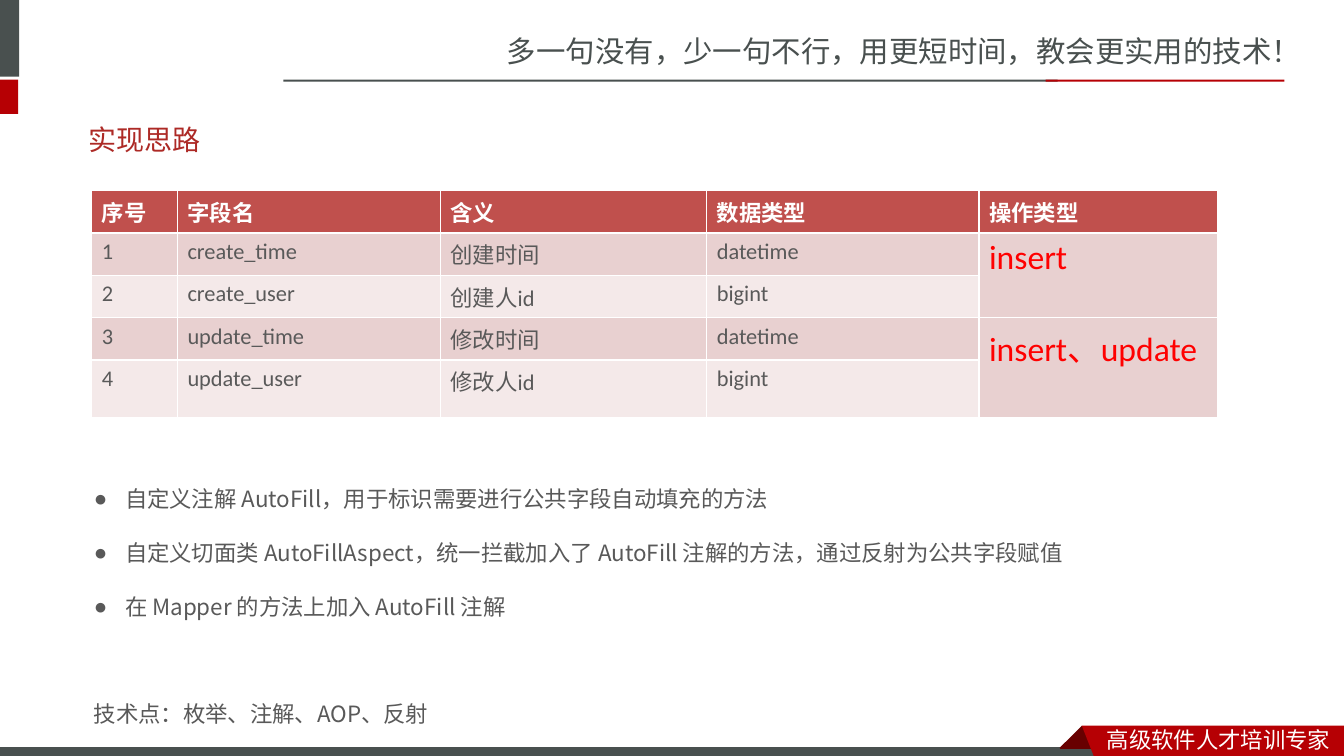
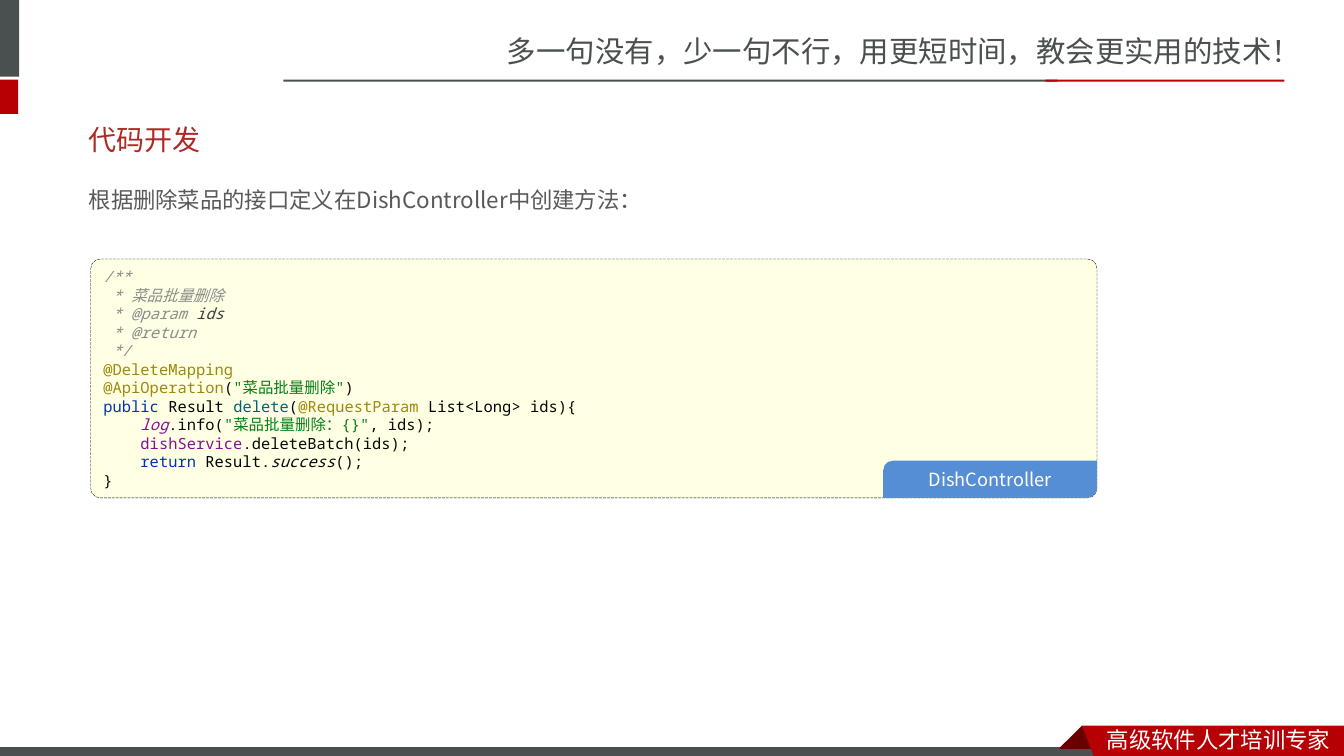
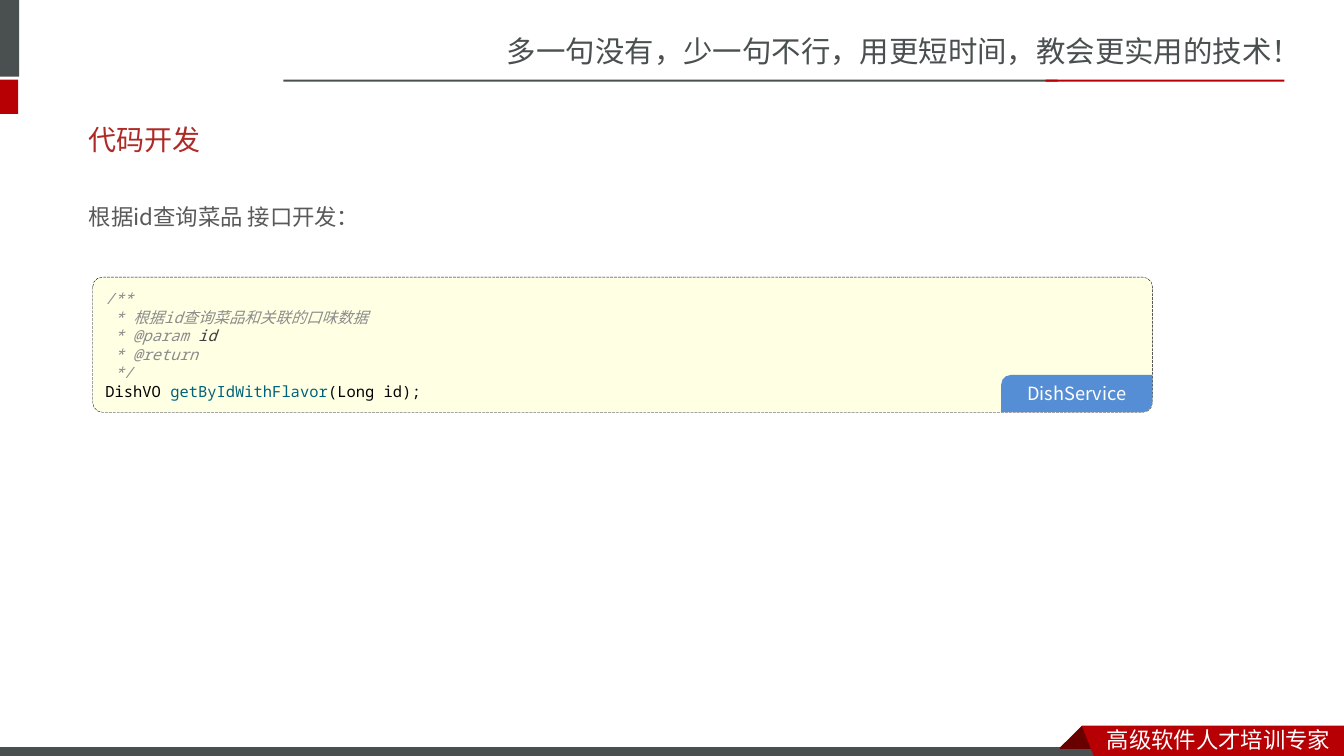
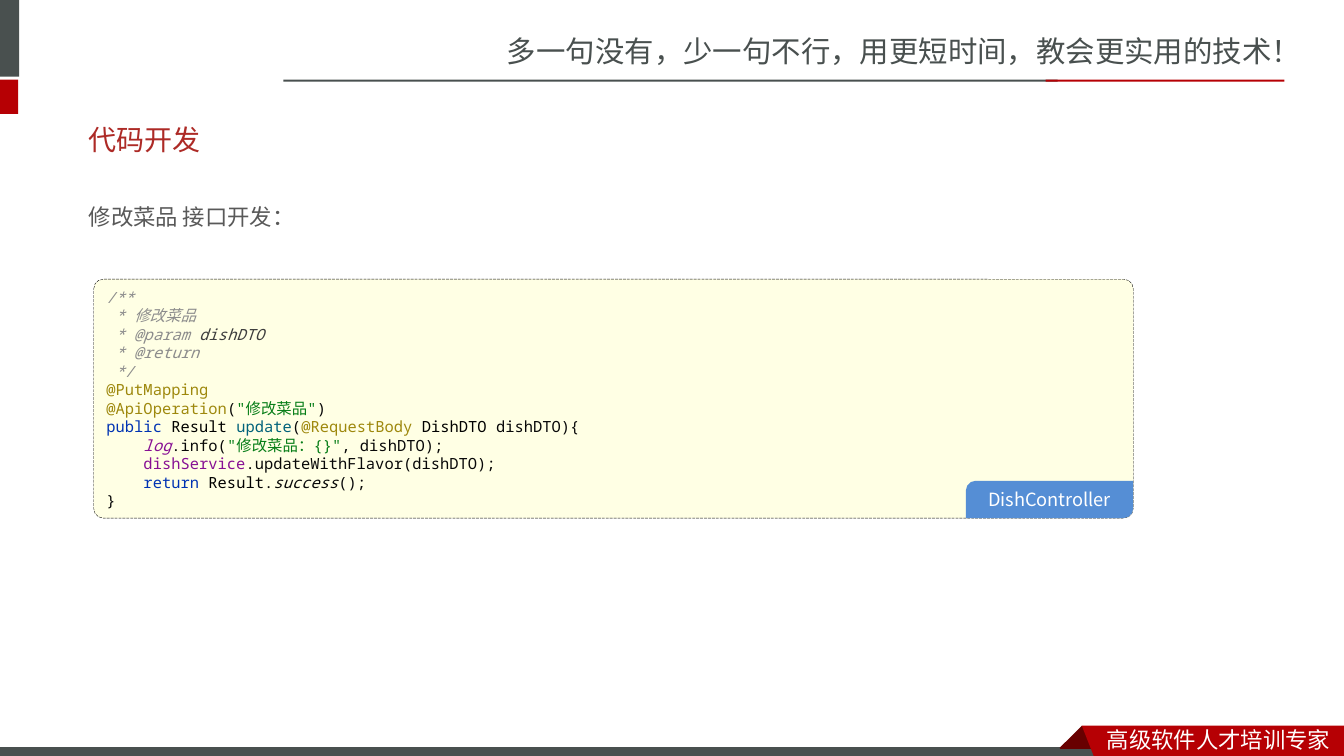
from itertools import groupby

from lxml import etree
from pptx import Presentation, util as u
from pptx.dml.color import RGBColor
from pptx.enum import dml, lang, shapes, text
from pptx.oxml.ns import qn

CJK = "Noto Sans CJK SC"
BODY = "Noto Sans CJK JP"
LATIN = "Calibri"
MONO = "Noto Sans Mono"
GREY, RED, DARK_RED, WHITE = "49504F", "B60004", "680000", "FFFFFF"
TITLE_RED, BODY_GREY, ALERT = "AD2A26", "595959", "FF0000"
HEADER_FILL, ROW_FILLS = "C0504D", ("E8D0D0", "F4E9E9")
CODE_FILL, TAG_FILL = "FFFFE4", "558ED5"

SLOGAN = "多一句没有，少一句不行，用更短时间，教会更实用的技术！"
FOOTER = "高级软件人才培训专家"
BANDS = [  # left, top, width, height, fill, line
    (-0.06, 0, 0.25, 0.76, GREY, None),
    (-0.06, 0.79, 0.24, 0.34, RED, None),
    (2.81, 0.79, 7.68, 0.02, GREY, None),
    (10.37, 0.79, 2.37, 0.02, RED, None),
    (-0.01, 7.41, 11, 0.12, GREY, WHITE),
]
RIBBON = [
    (DARK_RED, [(10.73, 7.2), (10.95, 7.42), (10.94, 7.43), (10.52, 7.43), (10.51, 7.42)]),
    (RED, [(10.73, 7.2), (13.33, 7.2), (13.33, 7.54), (10.86, 7.53)]),
]

FIELDS = [
    ("序号", "字段名", "含义", "数据类型", "操作类型"),
    ("1", "create_time", "创建时间", "datetime", "insert"),
    ("2", "create_user", "创建人id", "bigint", ""),
    ("3", "update_time", "修改时间", "datetime", "insert、update"),
    ("4", "update_user", "修改人id", "bigint", ""),
]
FIELD_WIDTHS = (0.85, 2.61, 2.64, 2.7, 2.37)
STEPS = [
    "自定义注解 AutoFill，用于标识需要进行公共字段自动填充的方法",
    "自定义切面类 AutoFillAspect，统一拦截加入了 AutoFill 注解的方法，通过反射为公共字段赋值",
    "在 Mapper 的方法上加入 AutoFill 注解",
]
TECHNIQUES = "技术点：枚举、注解、AOP、反射"

CODE_STYLES = {  # colour, italic
    "comment": ("8C8C8C", True),
    "param": ("3D3D3D", True),
    "annotation": ("9E880D", False),
    "plain": ("080808", False),
    "string": ("067D17", False),
    "keyword": ("0033B3", False),
    "type": ("000000", False),
    "method": ("00627A", False),
    "static": ("871094", True),
    "field": ("871094", False),
    "call": ("080808", True),
}


def doc_comment(summary, param):
    return [
        [("comment", "/**")],
        [("comment", f" * {summary}")],
        [("comment", " * @param "), ("param", param)],
        [("comment", " * @return")],
        [("comment", " */")],
    ]


def endpoint(summary, mapping, method, binding, kind, param, service_call):
    """Lines of one controller method, each a list of (style, text)."""
    return doc_comment(summary, param) + [
        [("annotation", mapping)],
        [("annotation", "@ApiOperation"), ("plain", "("), ("string", f'"{summary}"'), ("plain", ")")],
        [("keyword", "public "), ("type", "Result "), ("method", method), ("plain", "("),
         ("annotation", binding + " "), ("type", kind + " "), ("plain", param + "){")],
        [("static", "    log"), ("plain", ".info("), ("string", f'"{summary}：{{}}"'),
         ("plain", f", {param});")],
        [("field", "    dishService"), ("plain", f".{service_call}({param});")],
        [("keyword", "    return "), ("type", "Result"), ("plain", "."), ("call", "success"),
         ("plain", "();")],
        [("plain", "}")],
    ]


CODE_PAGES = [
    dict(intro="根据删除菜品的接口定义在DishController中创建方法：", intro_top=1.66,
         at=(0.9, 2.57, 9.98, 2.37), tag="DishController", tag_width=2.12,
         lines=endpoint("菜品批量删除", "@DeleteMapping", "delete", "@RequestParam",
                        "List<Long>", "ids", "deleteBatch")),
    dict(intro="根据id查询菜品 接口开发：", intro_top=1.83,
         at=(0.92, 2.75, 10.51, 1.34), tag="DishService", tag_width=1.5,
         lines=doc_comment("根据id查询菜品和关联的口味数据", "id") + [
             [("type", "DishVO "), ("method", "getByIdWithFlavor"), ("plain", "("),
              ("type", "Long "), ("plain", "id);")]]),
    dict(intro="修改菜品 接口开发：", intro_top=1.83,
         at=(0.93, 2.77, 10.31, 2.37), tag="DishController", tag_width=1.66,
         lines=endpoint("修改菜品", "@PutMapping", "update", "@RequestBody",
                        "DishDTO", "dishDTO", "updateWithFlavor")),
]


def rgb(colour):
    return RGBColor.from_string(colour)


def inches(values):
    return [u.Inches(value) for value in values]


def write(para, words, size=16, colour=BODY_GREY, font=BODY, bold=False, italic=False):
    """Add one formatted run, with a matching East Asian font."""
    span = para.add_run()
    span.text = words
    style = span.font
    style.size, style.bold, style.italic = u.Pt(size), bold, italic
    style.color.rgb = rgb(colour)
    style.name = font
    style.language_id = lang.MSO_LANGUAGE_ID.SIMPLIFIED_CHINESE
    east_asian = CJK if font in (LATIN, MONO) else font
    style.element.find(qn("a:latin")).addnext(
        style.element.makeelement(qn("a:ea"), {"typeface": east_asian})
    ) if hasattr(style, "element") else etree.SubElement(
        span._r.rPr, qn("a:ea"), typeface=east_asian)


def paint(shape, fill, line=None, width=0.75):
    shape.shadow.inherit = False
    shape.fill.solid()
    shape.fill.fore_color.rgb = rgb(fill)
    if line:
        shape.line.color.rgb = rgb(line)
        shape.line.width = u.Pt(width)
    else:
        shape.line.fill.background()


def add_label(page, at, words, **style):
    box = page.shapes.add_textbox(*inches(at))
    box.text_frame.word_wrap = True
    write(box.text_frame.paragraphs[0], words, font=CJK, **style)
    return box


def brand_layout(layout, page):
    """Draw the shared bands and labels on a page, then move them to its layout."""
    for holder in list(layout.placeholders):
        if holder.placeholder_format.idx >= 10:
            holder.element.getparent().remove(holder.element)
    title = layout.placeholders[0]
    title.left, title.top, title.width, title.height = inches((0.78, 1.1, 11.7, 0.57))

    parts = [add_label(page, (4.93, 0.28, 8.41, 0.47), SLOGAN, size=21, colour=GREY)]
    for *at, fill, line in BANDS:
        band = page.shapes.add_shape(shapes.MSO_SHAPE.RECTANGLE, *inches(at))
        paint(band, fill, line)
        parts.append(band)
    for fill, points in RIBBON:
        start, *rest = [inches(point) for point in points]
        builder = page.shapes.build_freeform(*start)
        builder.add_line_segments(rest, close=True)
        ribbon = builder.convert_to_shape()
        paint(ribbon, fill)
        parts.append(ribbon)
    parts.append(add_label(page, (10.88, 7.15, 2.45, 0.37), FOOTER, colour=WHITE))
    for part in parts:
        layout.shapes.element.append(part.element)


def set_title(page, words):
    frame = page.shapes.title.text_frame
    frame.vertical_anchor = text.MSO_ANCHOR.MIDDLE
    frame.auto_size = text.MSO_AUTO_SIZE.NONE
    para = frame.paragraphs[0]
    para.alignment = text.PP_ALIGN.LEFT
    write(para, words, size=20, colour=TITLE_RED, font=LATIN)


def set_body(page, at, items, spacing):
    """Fill the body placeholder with (words, has bullet, points before) items."""
    body = page.placeholders[1]
    body.left, body.top, body.width, body.height = inches(at)
    frame = body.text_frame
    frame.auto_size = text.MSO_AUTO_SIZE.NONE
    for index, (words, bullet, before) in enumerate(items):
        para = frame.add_paragraph() if index else frame.paragraphs[0]
        props = para._p.get_or_add_pPr()
        indent = u.Inches(0.31) if bullet else 0
        props.set("marL", str(indent))
        props.set("indent", str(-indent))
        if bullet:
            etree.SubElement(props, qn("a:buChar"), char="●")
        else:
            etree.SubElement(props, qn("a:buNone"))
        para.line_spacing = spacing
        para.space_before = u.Pt(before)
        write(para, words)


def add_field_table(page):
    frame = page.shapes.add_table(len(FIELDS), len(FIELD_WIDTHS),
                                  *inches((0.91, 1.89, sum(FIELD_WIDTHS), 0.41 * len(FIELDS))))
    table = frame.table
    for column, width in zip(table.columns, FIELD_WIDTHS):
        column.width = u.Inches(width)
    last = len(FIELD_WIDTHS) - 1
    for top in (1, 3):
        table.cell(top, last).merge(table.cell(top + 1, last))
    for row, values in enumerate(FIELDS):
        for col, words in enumerate(values):
            cell = table.cell(row, col)
            cell.fill.solid()
            cell.fill.fore_color.rgb = rgb(ROW_FILLS[(row - 1) % 2] if row else HEADER_FILL)
            if not words:
                continue
            if row == 0:
                style = dict(colour=WHITE, bold=True)
            elif col == last:
                style = dict(colour=ALERT, size=24)
            else:
                style = {}
            write(cell.text_frame.paragraphs[0], words, font=LATIN, **style)


def is_cjk(letter):
    return ord(letter) > 0x2E80


def add_code(page, at, lines, tag, tag_width):
    left, top, width, height = at
    box = page.shapes.add_shape(shapes.MSO_SHAPE.ROUNDED_RECTANGLE, *inches(at))
    box.adjustments[0] = round(0.1 / height, 2)
    paint(box, CODE_FILL, "000000", 0.25)
    box.line.dash_style = dml.MSO_LINE.LONG_DASH
    frame = box.text_frame
    frame.word_wrap = True
    frame.vertical_anchor = text.MSO_ANCHOR.MIDDLE
    for index, line in enumerate(lines):
        para = frame.add_paragraph() if index else frame.paragraphs[0]
        para.alignment = text.PP_ALIGN.LEFT
        for kind, words in line:
            colour, italic = CODE_STYLES[kind]
            for chinese, letters in groupby(words, is_cjk):
                write(para, "".join(letters), size=11, colour=colour, italic=italic,
                      font=CJK if chinese else MONO)

    tag_height = 0.37
    label = page.shapes.add_shape(
        shapes.MSO_SHAPE.ROUND_2_DIAG_RECTANGLE,
        *inches((left + width - tag_width, top + height - tag_height, tag_width, tag_height)))
    label.adjustments[0], label.adjustments[1] = 0.26, 0
    paint(label, TAG_FILL)
    frame = label.text_frame
    frame.margin_left = frame.margin_right = frame.margin_top = frame.margin_bottom = 0
    frame.vertical_anchor = text.MSO_ANCHOR.MIDDLE
    frame.paragraphs[0].alignment = text.PP_ALIGN.CENTER
    write(frame.paragraphs[0], tag, size=13, colour=WHITE)


def main():
    deck = Presentation()
    deck.slide_width, deck.slide_height = inches((13.33, 7.5))
    layout = deck.slide_layouts[1]

    page = deck.slides.add_slide(layout)
    brand_layout(layout, page)
    set_title(page, "实现思路")
    add_field_table(page)
    steps = [(step, True, 0) for step in STEPS]
    set_body(page, (0.83, 4.5, 11.59, 2.71), steps + [(TECHNIQUES, False, 38)], spacing=2)

    for content in CODE_PAGES:
        page = deck.slides.add_slide(layout)
        set_title(page, "代码开发")
        set_body(page, (0.78, content["intro_top"], 12.07, 0.46),
                 [(content["intro"], False, 0)], spacing=1.5)
        add_code(page, content["at"], content["lines"], content["tag"], content["tag_width"])

    deck.save("out.pptx")


if __name__ == "__main__":
    main()
